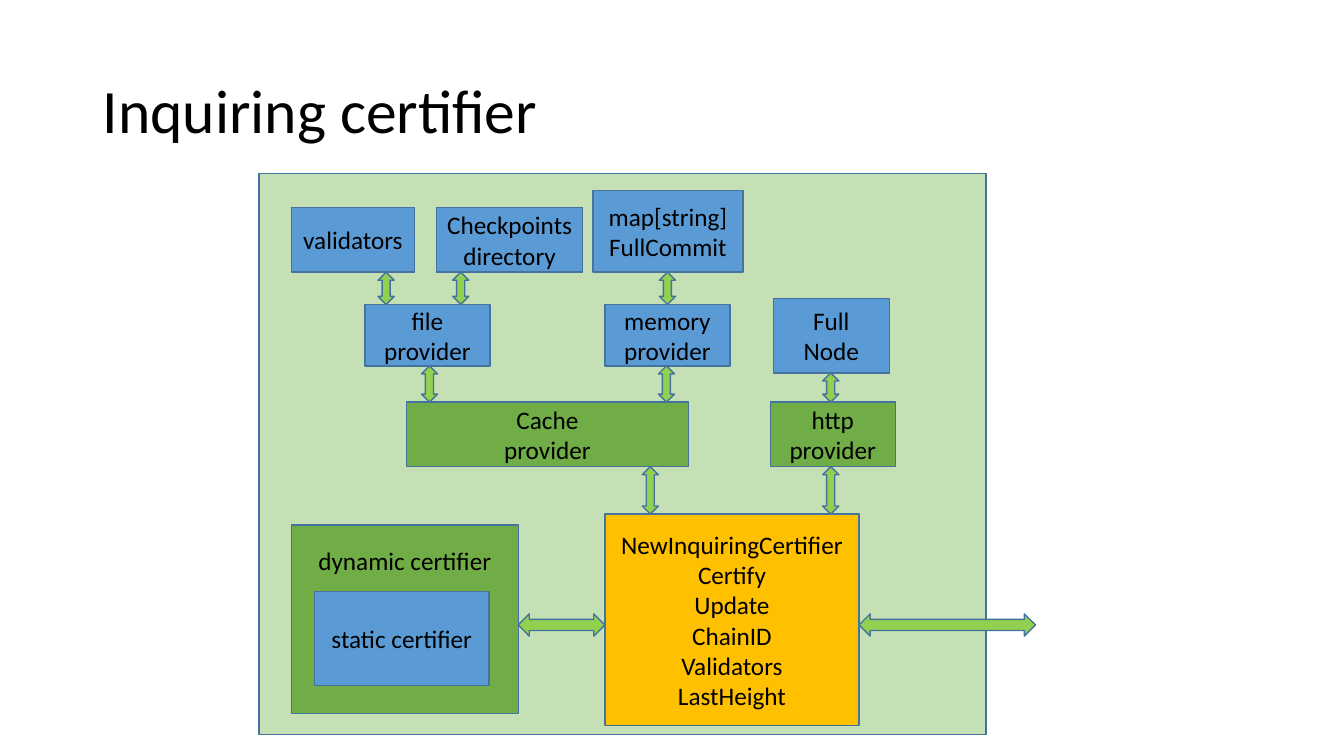
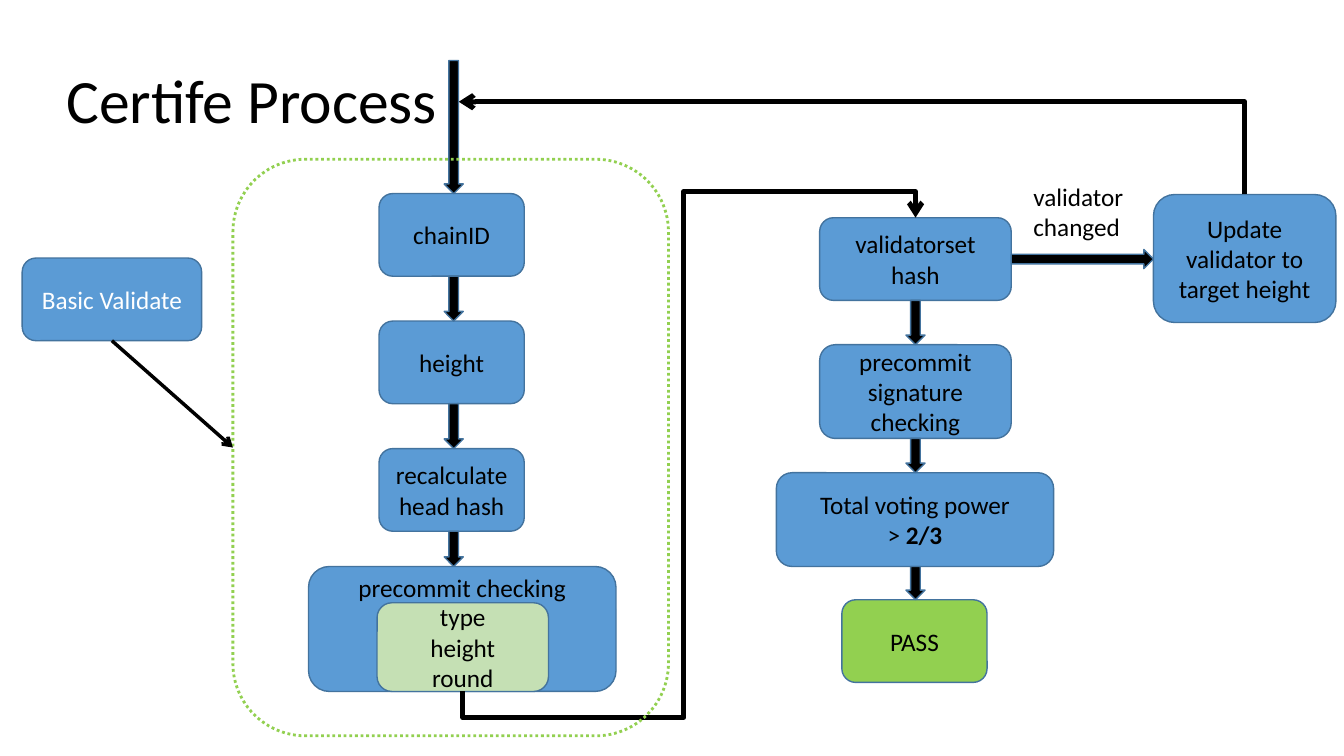
import pptx
import pptx.util
import pptx.dml.color
import pptx.enum.dml
import pptx.enum.shapes
import pptx.enum.text
import pptx.oxml
import pptx.oxml.ns
from lxml import etree

SHAPE = pptx.enum.shapes.MSO_SHAPE
CONNECTOR = pptx.enum.shapes.MSO_CONNECTOR
ANCHOR = pptx.enum.text.MSO_ANCHOR
ALIGN = pptx.enum.text.PP_ALIGN
TOP, LEFT, BOTTOM, RIGHT = range(4)


class Theme:
    font = "Calibri"
    title_size, body_size = 44, 18
    outline_width, frame_width, link_width, route_width = 1, 2, 2.5, 3.5
    black, white, outline = "000000", "FFFFFF", "43739E"
    blue, green, pale, lime, gold = "5B9BD5", "70AD47", "C5E0B4", "92D050", "FFC000"


# The grid has 75 rows; its cells are square
SLIDE_WIDTH = pptx.util.Inches(13.33)
SLIDE_HEIGHT = pptx.util.Inches(7.5)
CELL = SLIDE_HEIGHT / 75

# Content, slide 1. Boxes: name: (column, row, columns, rows, colour, lines)
CERTIFIER_TITLE = ("Inquiring certifier", 9.2, 4)
CERTIFIER_BOXES = {
    "panel": (25.7, 17.2, 72.1, 55.7, Theme.pale, []),
    "dynamic": (28.9, 52.1, 22.5, 18.7, Theme.green, ["dynamic certifier"]),
    "static": (31.2, 58.7, 17.3, 9.3, Theme.blue, ["static certifier"]),
    "cache": (40.3, 39.9, 28, 6.4, Theme.green, ["Cache", "provider"]),
    "http": (76.4, 39.9, 12.4, 6.4, Theme.green, ["http", "provider"]),
    "node": (76.7, 29.6, 11.5, 7.4, Theme.blue, ["Full Node"]),
    "checkpoints": (43.3, 20.6, 14.5, 6.4, Theme.blue, ["Checkpoints", "directory"]),
    "validators": (28.9, 20.6, 12.2, 6.4, Theme.blue, ["validators"]),
    "file": (36.2, 30.2, 12.4, 6.1, Theme.blue, ["file", "provider"]),
    "memory": (60, 30.2, 12.4, 6.1, Theme.blue, ["memory", "provider"]),
    "commits": (58.8, 18.9, 14.9, 8.1, Theme.blue, ["map[string]", "FullCommit"]),
    "inquiring": (60, 51, 25.2, 21, Theme.gold,
                  ["NewInquiringCertifier", "Certify", "Update", "ChainID",
                   "Validators", "LastHeight"]),
}
# Arrows: (upper box, lower box, centre column)
CERTIFIER_ARROWS = [
    ("validators", "file", 38.3), ("checkpoints", "file", 45.7),
    ("commits", "memory", 66.2), ("file", "cache", 42.6),
    ("memory", "cache", 66.1), ("node", "http", 82.4),
    ("cache", "inquiring", 64.5), ("http", "inquiring", 82.4),
]
CERTIFIER_ROW, OUTSIDE_COLUMN = 62, 102.7

# Content, slide 2. A line given as a pair has its second part in bold
PROCESS_TITLE = ("Certife Process", 5.6, 3)
CHECKS = {"chain": ["chainID"], "height": ["height"],
          "recalculate": ["recalculate", "head hash"]}
CHECK_TOP, CHECK_STEP = 19.2, 12.65
PROCESS_BOXES = {
    name: (37.6, CHECK_TOP + CHECK_STEP * index, 14.4, 8.2, Theme.blue, lines)
    for index, (name, lines) in enumerate(CHECKS.items())
}
PROCESS_BOXES.update({
    "precommit": (30.6, 56.2, 30.5, 12.4, Theme.blue, ["precommit checking"]),
    "fields": (37.4, 59.8, 17, 8.8, Theme.pale, ["type", "height", "round"]),
    "hash": (81.3, 21.6, 19, 8.2, Theme.blue, ["validatorset hash"]),
    "signature": (81.3, 34.2, 19, 9.3, Theme.blue,
                  ["precommit", "signature", "checking"]),
    "power": (77, 46.9, 27.5, 9.3, Theme.blue,
              ["Total voting power", ("> ", "2/3")]),
    "pass": (83.5, 59.5, 14.4, 8.2, Theme.lime, ["PASS"]),
    "basic": (2.2, 25.6, 17.8, 8.2, Theme.blue, ["Basic Validate"]),
    "update": (114.4, 19.3, 18.1, 12.7, Theme.blue,
               ["Update validator to target height"]),
})
CHECK_COLUMN, RESULT_COLUMN, ENTRY_ROW = 45, 90.8, 6
PROCESS_ARROWS = [
    ("chain", "height", CHECK_COLUMN), ("height", "recalculate", CHECK_COLUMN),
    ("recalculate", "precommit", CHECK_COLUMN),
    ("hash", "signature", RESULT_COLUMN), ("signature", "power", RESULT_COLUMN),
    ("power", "pass", RESULT_COLUMN),
]
FRAME = (23.1, 15.8, 43.2, 57.2)
CHANGED = (101.5, 17.5, 12.9, 7.1, ["validator", "changed"])
RETURN_POINT = (45.5, 10.1)


def grid(*cells):
    return [round(cell * CELL) for cell in cells]


def rgb(value):
    return pptx.dml.color.RGBColor.from_string(value)


def write(shape, lines, size=Theme.body_size, color=Theme.black,
          align=ALIGN.CENTER, anchor=ANCHOR.MIDDLE, spacing=None):
    frame = shape.text_frame
    frame.word_wrap = True
    frame.vertical_anchor = anchor
    for index, line in enumerate(lines):
        paragraph = frame.paragraphs[0] if index == 0 else frame.add_paragraph()
        paragraph.alignment = align
        paragraph.line_spacing = spacing
        paragraph.font.name = Theme.font
        paragraph.font.size = pptx.util.Pt(size)
        paragraph.font.color.rgb = rgb(color)
        for part, text in enumerate([line] if isinstance(line, str) else line):
            run = paragraph.add_run()
            run.text = text
            if part == 1:
                run.font.bold = True


def add_text(slide, left, top, width, height, lines, **style):
    box = slide.shapes.add_textbox(*grid(left, top, width, height))
    write(box, lines, align=ALIGN.LEFT, **style)


def add_titled_slide(presentation, title, left, top):
    slide = presentation.slides.add_slide(presentation.slide_layouts[6])
    add_text(slide, left, top, 115, 14.5, [title], size=Theme.title_size, spacing=0.9)
    return slide


def add_outlined(slide, kind, left, top, width, height, fill=None,
                 line=Theme.outline, weight=Theme.outline_width):
    shape = slide.shapes.add_shape(kind, *grid(left, top, width, height))
    shape.shadow.inherit = False
    if fill:
        shape.fill.solid()
        shape.fill.fore_color.rgb = rgb(fill)
    else:
        shape.fill.background()
    shape.line.color.rgb = rgb(line)
    shape.line.width = pptx.util.Pt(weight)
    return shape


def add_boxes(slide, kind, boxes, top_margins, white_text=()):
    shapes = {}
    for name, (left, top, width, height, fill, lines) in boxes.items():
        shape = add_outlined(slide, kind, left, top, width, height, fill)
        at_top = name in top_margins
        write(shape, lines, anchor=ANCHOR.TOP if at_top else ANCHOR.MIDDLE,
              color=Theme.white if name in white_text else Theme.black)
        if at_top:
            shape.text_frame.margin_top = grid(top_margins[name])[0]
        shapes[name] = shape
    return shapes


def add_vertical_arrows(slide, kind, boxes, arrows, width, fill):
    for upper, lower, center in arrows:
        start = boxes[upper][1] + boxes[upper][3]
        add_outlined(slide, kind, center - width / 2, start, width,
                     boxes[lower][1] - start, fill)


def add_horizontal_arrow(slide, kind, start, end, center, height, fill):
    add_outlined(slide, kind, start, center - height / 2, end - start, height, fill)


def add_link(slide, kind, start, end, weight):
    link = slide.shapes.add_connector(kind, *grid(*start, *end))
    link.line.color.rgb = rgb(Theme.black)
    link.line.width = pptx.util.Pt(weight)
    properties = link.line._get_or_add_ln()
    etree.SubElement(properties, pptx.oxml.ns.qn("a:tailEnd"), type="arrow")
    etree.SubElement(link._element.spPr, pptx.oxml.ns.qn("a:effectLst"))
    return link


def bend(link, preset, rotation, flips, adjustments=()):
    """Turn an elbow link by a quarter about its centre and set its bends."""
    center_x = (link.begin_x + link.end_x) // 2
    center_y = (link.begin_y + link.end_y) // 2
    width, height = link.height, link.width
    link.left, link.top = center_x - width // 2, center_y - height // 2
    link.width, link.height = width, height
    transform = link._element.spPr.find(pptx.oxml.ns.qn("a:xfrm"))
    transform.set("rot", str(rotation * 60000))
    for axis in "HV":
        transform.set("flip" + axis, "1" if axis in flips else "0")
    geometry = link._element.spPr.find(pptx.oxml.ns.qn("a:prstGeom"))
    geometry.set("prst", preset)
    values = geometry.find(pptx.oxml.ns.qn("a:avLst"))
    if values is None:
        values = etree.SubElement(geometry, pptx.oxml.ns.qn("a:avLst"))
    for index, share in enumerate(adjustments, 1):
        etree.SubElement(values, pptx.oxml.ns.qn("a:gd"), name=f"adj{index}",
                         fmla=f"val {round(share * 100000)}")


def side(box, position):
    left, top, width, height = box[:4]
    return {TOP: (left + width / 2, top), LEFT: (left, top + height / 2),
            BOTTOM: (left + width / 2, top + height),
            RIGHT: (left + width, top + height / 2)}[position]


def build_certifier(presentation):
    slide = add_titled_slide(presentation, *CERTIFIER_TITLE)
    boxes = CERTIFIER_BOXES
    add_boxes(slide, SHAPE.RECTANGLE, boxes, {"dynamic": 2})
    add_vertical_arrows(slide, SHAPE.UP_DOWN_ARROW, boxes, CERTIFIER_ARROWS,
                        1.6, Theme.lime)
    # Links between the certifiers and to the outside
    spans = [(side(boxes["dynamic"], RIGHT)[0], boxes["inquiring"][0]),
             (side(boxes["inquiring"], RIGHT)[0], OUTSIDE_COLUMN)]
    for start, end in spans:
        add_horizontal_arrow(slide, SHAPE.LEFT_RIGHT_ARROW, start, end,
                             CERTIFIER_ROW, 2.2, Theme.lime)


def build_process(presentation):
    slide = add_titled_slide(presentation, *PROCESS_TITLE)
    boxes = PROCESS_BOXES
    shapes = add_boxes(slide, SHAPE.ROUNDED_RECTANGLE, boxes, {"precommit": 0}, ["basic"])
    # Block arrows: entry, steps, branch
    thickness = 1.9
    add_outlined(slide, SHAPE.DOWN_ARROW, CHECK_COLUMN - thickness / 2, ENTRY_ROW,
                 thickness, CHECK_TOP - ENTRY_ROW, Theme.black)
    add_vertical_arrows(slide, SHAPE.DOWN_ARROW, boxes, PROCESS_ARROWS,
                        thickness, Theme.black)
    branch, row = side(boxes["hash"], RIGHT)
    add_horizontal_arrow(slide, SHAPE.RIGHT_ARROW, branch, boxes["update"][0],
                         row, thickness, Theme.black)
    # Routed links
    onward = add_link(slide, CONNECTOR.ELBOW, side(boxes["fields"], BOTTOM),
                      side(boxes["hash"], TOP), Theme.route_width)
    onward.begin_connect(shapes["fields"], BOTTOM)
    onward.end_connect(shapes["hash"], TOP)
    bend(onward, "bentConnector5", 90, "HV", (-0.055, 0.488, 1.055))
    back = add_link(slide, CONNECTOR.ELBOW, side(boxes["update"], TOP),
                    RETURN_POINT, Theme.route_width)
    back.begin_connect(shapes["update"], TOP)
    bend(back, "bentConnector2", 270, "V")
    # Dotted frame of the basic checks, and its label's link
    frame = add_outlined(slide, SHAPE.ROUNDED_RECTANGLE, *FRAME,
                         line=Theme.lime, weight=Theme.frame_width)
    frame.line.dash_style = pptx.enum.dml.MSO_LINE.ROUND_DOT
    link = add_link(slide, CONNECTOR.STRAIGHT, side(boxes["basic"], BOTTOM),
                    side(FRAME, LEFT), Theme.link_width)
    link.begin_connect(shapes["basic"], BOTTOM)
    link.end_connect(frame, LEFT)
    add_text(slide, *CHANGED, anchor=ANCHOR.TOP)


def main():
    presentation = pptx.Presentation()
    presentation.slide_width = SLIDE_WIDTH
    presentation.slide_height = SLIDE_HEIGHT
    build_certifier(presentation)
    build_process(presentation)
    presentation.save("out.pptx")


if __name__ == "__main__":
    main()
